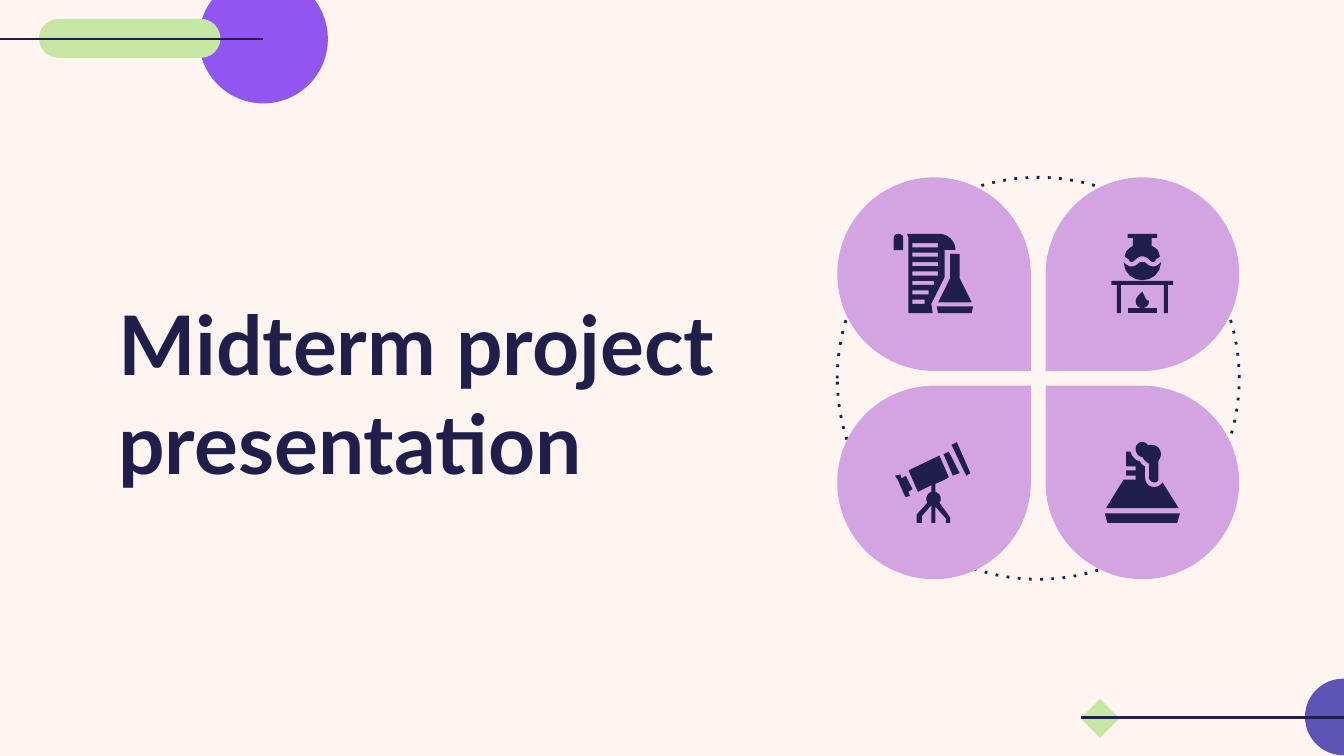
from dataclasses import dataclass

from lxml.etree import SubElement
from pptx import Presentation
from pptx.dml.color import RGBColor
from pptx.enum.shapes import MSO_CONNECTOR, MSO_SHAPE
from pptx.enum.text import MSO_ANCHOR, MSO_AUTO_SIZE, PP_ALIGN
from pptx.oxml.ns import qn
from pptx.util import Pt

EMU_PER_PX = 9144
CURVE_STEPS = 8


def px(length):
    return round(length * EMU_PER_PX)


@dataclass(frozen=True)
class Theme:
    paper: str = "FEF5F0"
    ink: str = "201F4B"
    violet: str = "9156F1"
    indigo: str = "5E54B5"
    green: str = "C6E6A3"
    petal: str = "D4A4E2"
    font: str = "Lato"
    title_size: int = 44
    line_width: float = 1.5


def point(token):
    return tuple(float(value) for value in token.split(","))


def trace(contour):
    points = []
    tokens = iter(contour.split())
    for token in tokens:
        if token != "C":
            points.append(point(token))
            continue
        curve = [points[-1]] + [point(next(tokens)) for _ in range(3)]
        for step in range(1, CURVE_STEPS + 1):
            t = step / CURVE_STEPS
            weights = ((1 - t) ** 3, 3 * t * (1 - t) ** 2, 3 * t**2 * (1 - t), t**3)
            points.append(tuple(
                sum(weight * knot[axis] for weight, knot in zip(weights, curve))
                for axis in (0, 1)
            ))
    return [(px(x), px(y)) for x, y in points]


class SlideBuilder:
    def __init__(self, page, theme):
        self.page = page
        self.theme = theme
        page.background.fill.solid()
        page.background.fill.fore_color.rgb = RGBColor.from_string(theme.paper)

    def paint(self, shape, color):
        shape.shadow.inherit = False
        shape.fill.solid()
        shape.fill.fore_color.rgb = RGBColor.from_string(color)
        shape.line.fill.background()

    def stroke(self, item):
        item.line.color.rgb = RGBColor.from_string(self.theme.ink)
        item.line.width = Pt(self.theme.line_width)

    def shape(self, kind, left, top, width, height, color, rotation=0):
        shape = self.page.shapes.add_shape(kind, px(left), px(top), px(width), px(height))
        self.paint(shape, color)
        shape.rotation = rotation
        return shape

    def dotted_ring(self, left, top, size):
        ring = self.page.shapes.add_shape(MSO_SHAPE.OVAL, px(left), px(top), px(size), px(size))
        ring.shadow.inherit = False
        ring.fill.background()
        self.stroke(ring)
        outline = ring.element.spPr.find(qn("a:ln"))
        SubElement(outline, qn("a:prstDash")).set("val", "dot")

    def rule(self, left, right, y):
        line = self.page.shapes.add_connector(
            MSO_CONNECTOR.STRAIGHT, px(left), px(y), px(right), px(y))
        self.stroke(line)
        SubElement(line.element.spPr, qn("a:effectLst"))

    def title(self, text, left, top, width, height, inset):
        box = self.page.shapes.title
        box.left, box.top, box.width, box.height = px(left), px(top), px(width), px(height)
        frame = box.text_frame
        frame.word_wrap = True
        frame.auto_size = MSO_AUTO_SIZE.NONE
        frame.vertical_anchor = MSO_ANCHOR.BOTTOM
        frame.margin_left = frame.margin_right = px(inset)
        frame.margin_top = frame.margin_bottom = px(inset)
        para = frame.paragraphs[0]
        para.alignment = PP_ALIGN.LEFT
        span = para.add_run()
        span.text = text
        span.font.name = self.theme.font
        span.font.size = Pt(self.theme.title_size)
        span.font.bold = True
        span.font.color.rgb = RGBColor.from_string(self.theme.ink)

    def outline(self, contours):
        first, *holes = [trace(contour) for contour in contours]
        builder = self.page.shapes.build_freeform(*first[0], scale=1.0)
        builder.add_line_segments(first[1:], close=True)
        for hole in holes:
            builder.move_to(*hole[0])
            builder.add_line_segments(hole[1:], close=True)
        shape = builder.convert_to_shape()
        self.paint(shape, self.theme.ink)
        return shape

    def icon(self, parts):
        self.page.shapes.add_group_shape([self.outline(contours) for contours in parts])


TEXT_LINES = [
    f"679,{top} {right},{top} {right},{top + 3} 679,{top + 3}"
    for top, right in zip(range(181, 230, 7), (698, 698, 698, 698, 695, 691, 688))
]

REPORT = [
    ["668,174 C 667,174 665,175 665,177 665,186 672,186 672,177"
     " C 672,176 672,175 671,175 C 670,174 669,174 668,174"],
    ["703,206 703,186 711,186 C 711,179 705,174 699,174 675,174"
     " C 675,175 676,176 676,177 676,233 694,233 693,226", *TEXT_LINES],
    ["697,228 698,233 723,233 724,228"],
    ["707,189 707,207 698,225 723,225 714,207 714,189"],
]

BURNER = [
    ["839,229 839,233 861,233 861,229"],
    ["827,209 827,212 831,212 831,233 834,233 834,212"
     " 866,212 866,233 869,233 869,212 873,212 873,209"],
    ["842,195 C 843,195 844,194 845,193 C 848,190 852,190 855,193"
     " C 856,194 857,195 858,195 C 859,195 860,194 860,193 863,191"
     " C 863,189 862,188 862,187 C 861,185 859,184 857,183"
     " 857,177 861,177 861,174 839,174 839,177 843,177 843,183"
     " C 841,184 840,185 838,187 C 838,188 837,189 837,191 840,193"
     " C 840,194 841,195 842,195"],
    ["864,195 863,196 C 860,199 856,199 853,196 C 852,195 851,195 850,195"
     " C 849,195 848,195 847,196 C 844,199 840,199 837,196 836,195"
     " C 837,213 863,213 864,195"],
    ["855,224 C 855,223 854,224 853,223 C 852,221 850,217 850,217"
     " C 850,217 845,221 845,224 C 845,231 855,231 855,224"],
]

TELESCOPE = [
    ["674,354 671,356 670,353 666,354 668,357 C 669,359 673,369 674,370"
     " 677,369 676,366 679,364"],
    ["708,331 712,329 722,352 719,354"],
    ["702,338 709,354 714,352 706,336"],
    ["700,371 C 700,369 699,367 696,366 696,360 C 699,359 705,356 706,355"
     " 699,339 676,350 683,366 693,361 693,366 C 690,367 688,371 690,374"
     " 682,383 682,389 686,389 686,384 693,376 693,389 696,389 696,377"
     " 704,386 704,389 707,389 707,385 699,374 C 700,373 700,372 700,371"],
]

FLASK = [
    ["822,382 824,389 876,389 878,382"],
    ["865,359 C 861,365 852,363 852,355 852,347 C 850,346 849,345 848,343"
     " C 846,343 845,342 844,341 C 842,339 842,338 841,336"
     " 838,336 838,347 845,347 845,350 838,350 838,354 845,354 845,357"
     " 836,357 823,378 877,378"],
    ["850,340 C 851,342 853,344 855,345 855,356 C 855,357 857,359 859,359"
     " C 861,359 862,358 862,356 862,343 C 866,338 863,331 857,331"
     " C 856,331 855,331 855,331 C 854,332 854,331 854,331"
     " C 851,327 845,329 845,334 C 845,337 847,340 850,340"],
]


def main():
    deck = Presentation()
    deck.slide_width = px(1000)
    deck.slide_height = deck.slide_width * 9 // 16
    theme = Theme()
    slide = SlideBuilder(deck.slides.add_slide(deck.slide_layouts[5]), theme)

    slide.shape(MSO_SHAPE.OVAL, 148, -19, 96, 96, theme.violet)
    pill = slide.shape(MSO_SHAPE.ROUNDED_RECTANGLE, 29, 14, 135, 29, theme.green)
    pill.adjustments[0] = 0.5
    slide.rule(0, 196, 29)
    slide.shape(MSO_SHAPE.OVAL, 971, 505, 57, 57, theme.indigo)
    slide.shape(MSO_SHAPE.DIAMOND, 804, 520, 29, 29, theme.green)
    slide.rule(804, 1029, 534)

    slide.title("Midterm project presentation", 78, 142, 501, 233, 10)

    left, top, petal, pitch = 623, 132, 144, 155
    slide.dotted_ring(left, top, petal + pitch)
    petals = ((0, 0, 90, REPORT), (1, 0, 180, BURNER),
              (0, 1, 0, TELESCOPE), (1, 1, 270, FLASK))
    for column, row, rotation, icon in petals:
        slide.shape(MSO_SHAPE.TEAR, left + column * pitch, top + row * pitch,
                    petal, petal, theme.petal, rotation)
        slide.icon(icon)

    deck.save("out.pptx")


if __name__ == "__main__":
    main()
